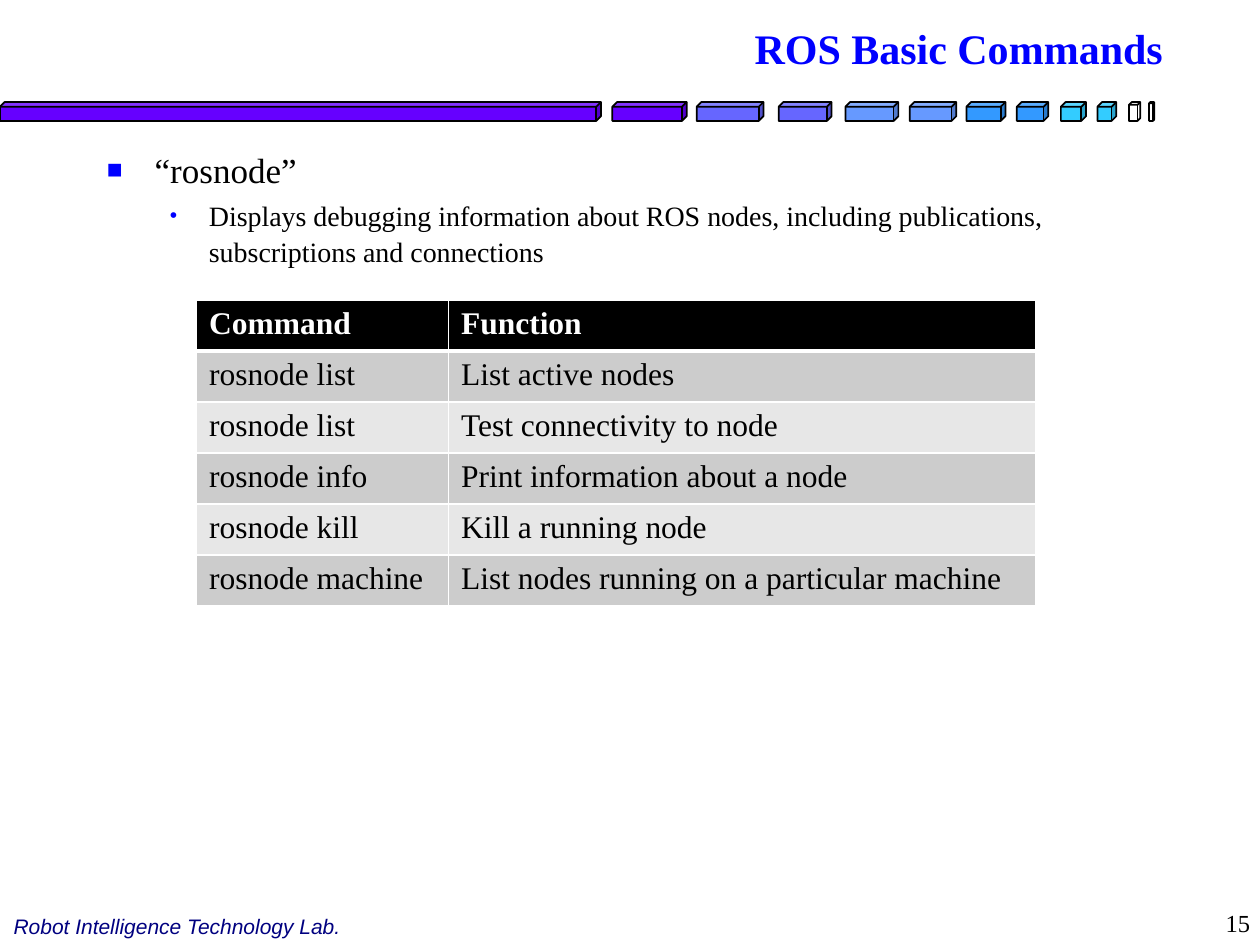
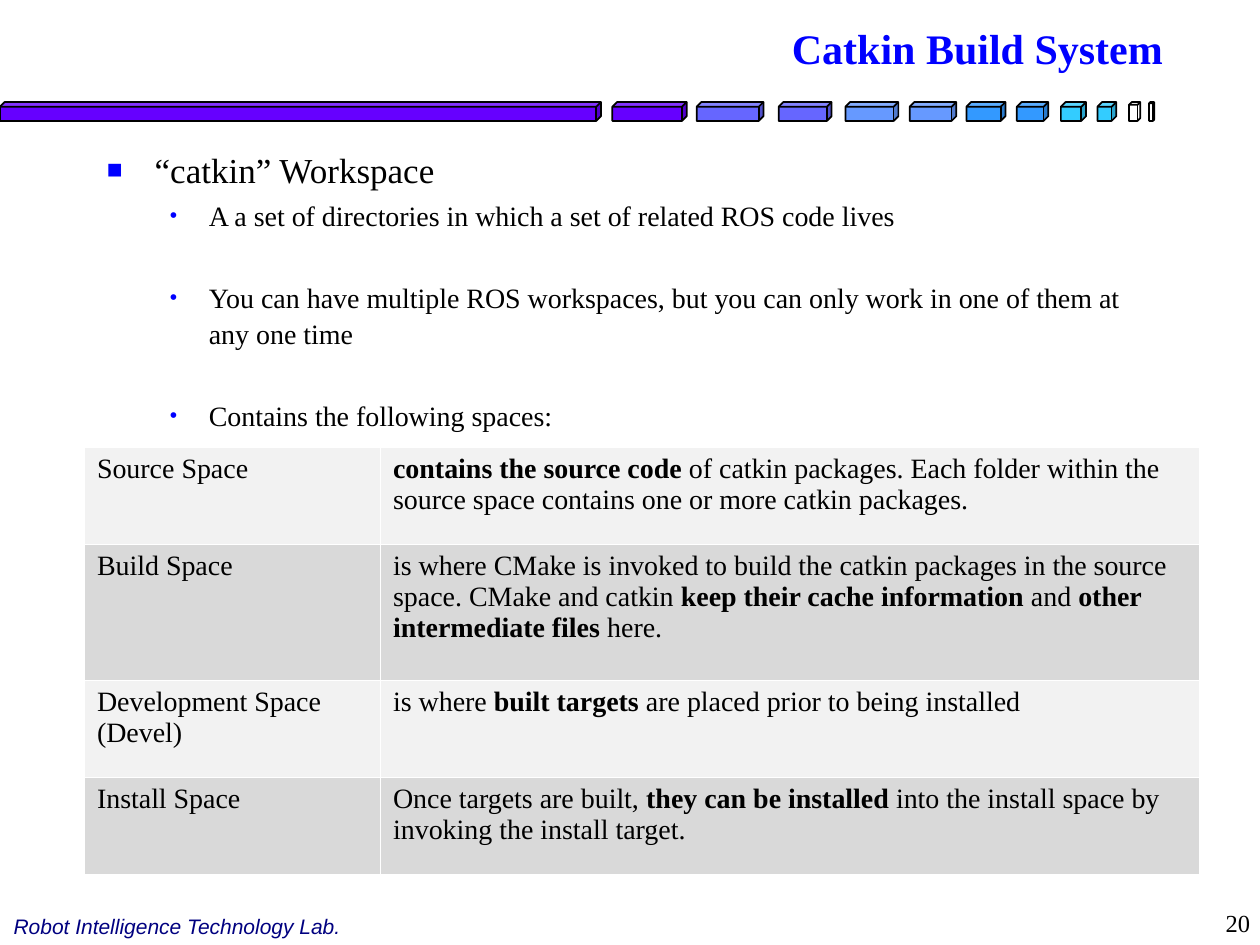
from dataclasses import dataclass
from lxml.etree import SubElement
from pptx import Presentation
from pptx.dml.color import RGBColor
from pptx.enum.shapes import MSO_SHAPE
from pptx.enum.text import MSO_ANCHOR, MSO_AUTO_SIZE, PP_ALIGN
from pptx.oxml import parse_xml
from pptx.oxml.ns import nsdecls, qn
from pptx.util import Inches, Pt


@dataclass(frozen=True)
class Theme:
    serif: str = "Times New Roman"
    sans: str = "Arial"
    ink: str = "000000"
    paper: str = "FFFFFF"
    accent: str = "0000FF"
    navy: str = "000080"
    title_size: int = 24
    topic_size: int = 20
    command_size: int = 18
    point_size: int = 16
    number_size: int = 14
    footer_size: int = 12
    command_bands: tuple = ("CCCCCC", "E7E7E7")
    space_bands: tuple = ("F2F2F2", "D9D9D9")


THEME = Theme()

# Divider cubes: left, width, colour
CUBES = [
    (9.12, 0.04, None), (8.96, 0.09, None),
    (8.71, 0.15, "33CCFF"), (8.42, 0.20, "33CCFF"),
    (8.07, 0.25, "3399FF"), (7.67, 0.31, "3399FF"),
    (7.22, 0.37, "6699FF"), (6.71, 0.42, "6699FF"),
    (6.18, 0.42, "6666FF"), (5.53, 0.53, "6666FF"),
    (4.86, 0.59, "6600FF"), (0, 4.77, "6600FF"),
]

# Bullet levels: sign, size, left margin, hanging indent
LEVELS = [
    ("■", THEME.topic_size, 0.38, -0.38),
    ("•", THEME.point_size, 0.81, -0.31),
]

ROSNODE_COMMANDS = [
    ("Command", "Function"),
    ("rosnode list", "List active nodes"),
    ("rosnode list", "Test connectivity to node"),
    ("rosnode info", "Print information about a node"),
    ("rosnode kill", "Kill a running node"),
    ("rosnode machine", "List nodes running on a particular machine"),
]

# Asterisks enclose bold words
CATKIN_SPACES = [
    ("Source Space",
     "*contains the source code *of catkin packages. Each folder within the "
     "source space contains one or more catkin packages."),
    ("Build Space",
     "is where CMake is invoked to build the catkin packages in the source "
     "space. CMake and catkin *keep their cache information *and "
     "*other intermediate files* here."),
    ("Development Space (Devel)",
     "is where *built targets *are placed prior to being installed"),
    ("Install Space",
     "Once targets are built, *they can be installed *into the install space "
     "by invoking the install target."),
]


def rgb(colour):
    return RGBColor.from_string(colour)


def add_run(paragraph, text, size, colour=THEME.ink, name=THEME.serif, **style):
    run = paragraph.add_run()
    run.text = text
    for key, value in {"size": Pt(size), "name": name, **style}.items():
        setattr(run.font, key, value)
    run.font.color.rgb = rgb(colour)


def format_frame(frame, anchor):
    values = {"word_wrap": True, "auto_size": MSO_AUTO_SIZE.NONE,
              "vertical_anchor": anchor}
    for key, value in values.items():
        setattr(frame, key, value)


def add_text_box(slide, left, top, width, height, anchor=MSO_ANCHOR.MIDDLE):
    box = slide.shapes.add_textbox(
        Inches(left), Inches(top), Inches(width), Inches(height))
    format_frame(box.text_frame, anchor)
    return box.text_frame


def add_divider(slide):
    for left, width, colour in CUBES:
        cube = slide.shapes.add_shape(
            MSO_SHAPE.CUBE, Inches(left), Inches(0.81), Inches(width), Inches(0.15))
        cube.shadow.inherit = False
        cube.adjustments[0] = 0.25
        if colour:
            cube.fill.solid()
            cube.fill.fore_color.rgb = rgb(colour)
        else:
            cube.fill.background()
        cube.line.color.rgb = rgb(THEME.ink)
        cube.line.width = Pt(1)


def set_title(slide, text):
    title = slide.shapes.title
    place = {"left": 0.67, "top": 0, "width": 8.66, "height": 0.75}
    for key, value in place.items():
        setattr(title, key, Inches(value))
    format_frame(title.text_frame, MSO_ANCHOR.MIDDLE)
    heading = title.text_frame.paragraphs[0]
    heading.alignment = PP_ALIGN.RIGHT
    add_run(heading, text, THEME.title_size, THEME.accent, bold=True)


def add_footer(slide, number):
    lab = add_text_box(slide, 0.01, 7.1, 8.73, 0.5).paragraphs[0]
    add_run(lab, "Robot Intelligence Technology Lab.", THEME.footer_size,
            THEME.navy, THEME.sans, italic=True)
    page = add_text_box(slide, 9.59, 7.16, 0.43, 0.33).paragraphs[0]
    page.alignment = PP_ALIGN.RIGHT
    add_run(page, str(number), THEME.number_size)


def add_bullet(paragraph, text, level, space_before):
    sign, size, margin, indent = LEVELS[level]
    add_run(paragraph, text, size)
    paragraph.level = level
    paragraph.line_spacing = 1.08
    paragraph.space_before = Pt(space_before)
    props = paragraph._p.get_or_add_pPr()
    props.set("marL", str(Inches(margin)))
    props.set("indent", str(Inches(indent)))
    colour = SubElement(props, qn("a:buClr"))
    SubElement(colour, qn("a:srgbClr")).set("val", THEME.accent)
    SubElement(props, qn("a:buSzPct")).set("val", "75000")
    SubElement(props, qn("a:buFont")).set("typeface", THEME.sans)
    SubElement(props, qn("a:buChar")).set("char", sign)


def add_outline(slide, topic, points, gap=3.4):
    outline = add_text_box(slide, 0.75, 1.1, 8.5, 5.57, MSO_ANCHOR.TOP)
    add_bullet(outline.paragraphs[0], topic, 0, 4)
    for index, point in enumerate(points):
        add_bullet(outline.add_paragraph(), point, 1, gap if index else 3.4)


def set_borders(cell, top, bottom):
    widths = {"lnL": 1, "lnR": 1, "lnT": top, "lnB": bottom}
    for index, (side, width) in enumerate(widths.items()):
        cell._tc.get_or_add_tcPr().insert(index, parse_xml(
            f'<a:{side} {nsdecls("a")} w="{Pt(width)}"><a:solidFill>'
            f'<a:srgbClr val="{THEME.paper}"/></a:solidFill></a:{side}>'))


def fill_cell(cell, text, size, fill, header):
    cell.fill.solid()
    cell.fill.fore_color.rgb = rgb(fill)
    colour = THEME.paper if header else THEME.ink
    for index, part in enumerate(text.split("*")):
        if part:
            add_run(cell.text_frame.paragraphs[0], part, size, colour,
                    bold=header or index % 2 == 1)


def add_grid(slide, rows, left, top, widths, heights, size, bands, header=False):
    table = slide.shapes.add_table(
        len(rows), len(widths), Inches(left), Inches(top),
        Inches(sum(widths)), Inches(sum(heights))).table
    table.first_row = table.horz_banding = False
    for column, width in zip(table.columns, widths):
        column.width = Inches(width)
    for index, (texts, height) in enumerate(zip(rows, heights)):
        table.rows[index].height = Inches(height)
        is_header = header and index == 0
        band = THEME.ink if is_header else bands[(index - header) % 2]
        for cell, text in zip(table.rows[index].cells, texts):
            fill_cell(cell, text, size, band, is_header)
            set_borders(cell, 3 if header and index == 1 else 1,
                        3 if is_header else 1)


def add_page(deck, title, number):
    slide = deck.slides.add_slide(deck.slide_layouts[5])
    add_divider(slide)
    set_title(slide, title)
    add_footer(slide, number)
    return slide


def main():
    deck = Presentation()
    deck.slide_width, deck.slide_height = Inches(10), Inches(7.5)

    # rosnode commands
    commands = add_page(deck, "ROS Basic Commands", 15)
    add_outline(commands, "“rosnode”", [
        "Displays debugging information about ROS nodes, including "
        "publications, subscriptions and connections"])
    add_grid(commands, ROSNODE_COMMANDS, 1.56, 2.38, [2, 4.66], [0.405] * 6,
             THEME.command_size, THEME.command_bands, header=True)

    # catkin workspace
    workspace = add_page(deck, "Catkin Build System", 20)
    add_outline(workspace, "“catkin” Workspace", [
        "A a set of directories in which a set of related ROS code lives",
        "You can have multiple ROS workspaces, but you can only work in one "
        "of them at any one time",
        "Contains the following spaces:"], gap=26)
    add_grid(workspace, CATKIN_SPACES, 0.67, 3.55, [2.35, 6.5],
             [0.77, 1.08, 0.77, 0.77], THEME.point_size, THEME.space_bands)

    deck.save("out.pptx")


if __name__ == "__main__":
    main()
